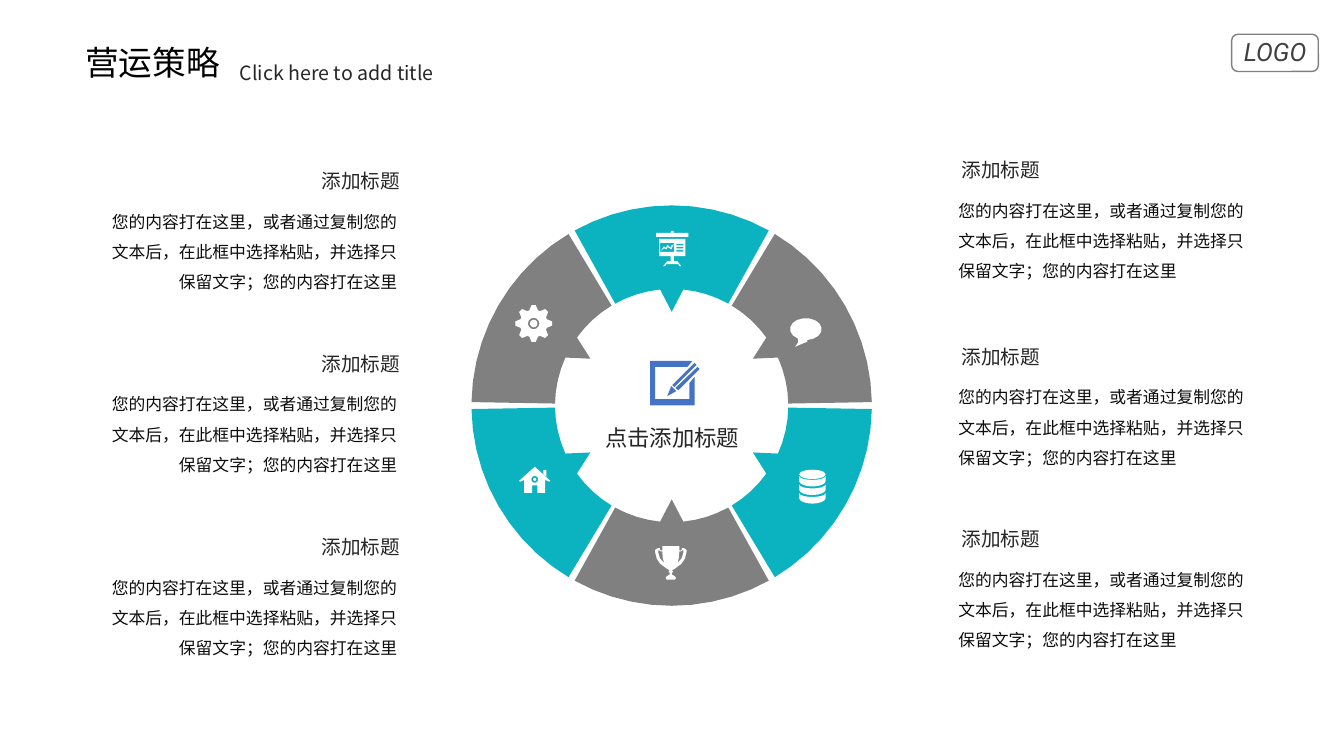
import math

from lxml import etree
from pptx import Presentation
from pptx import util as u
from pptx.dml.color import RGBColor
from pptx.enum import shapes, text
from pptx.oxml.ns import qn

COLORS = {"teal": "0BB3C1", "gray": "808080", "blue": "4472C4", "white": "FFFFFF",
          "black": "000000", "body": "0D0D0D", "heading": "262626", "badge": "404040"}
HEADING = "添加标题"
BODY = "您的内容打在这里，或者通过复制您的文本后，在此框中选择粘贴，并选择只保留文字；您的内容打在这里"
LEFT, CENTER, RIGHT = text.PP_ALIGN.LEFT, text.PP_ALIGN.CENTER, text.PP_ALIGN.RIGHT
RING = (479.8, 289.7)


def arc(center, radii, start, end):
    """Points on an ellipse; angles run clockwise in degrees from the top."""
    step = 6 if radii[0] > 50 else 22.5
    count = max(2, round(abs(end - start) / step))
    angles = [math.radians(start + (end - start) * i / count) for i in range(count + 1)]
    return [(center[0] + radii[0] * math.sin(a), center[1] - radii[1] * math.cos(a))
            for a in angles]


def polar(center, radius, angle):
    turn = math.radians(angle)
    return center[0] + radius * math.sin(turn), center[1] - radius * math.cos(turn)


def circle(center, radius):
    return [polar(center, radius, 30 * i) for i in range(12)]


def shift(points, origin):
    return [(origin[0] + x, origin[1] + y) for x, y in points]


def mirror(points):
    return [(-x, y) for x, y in reversed(points)]


def symmetric(half):
    """Outline whose right half is given, reflected about the vertical axis."""
    return half + mirror(half)


def rectangle(x, y, width, height):
    return [(x, y), (x + width, y), (x + width, y + height), (x, y + height)]


class SlideBuilder:
    def __init__(self, page, font="Noto Sans CJK SC"):
        self.page = page
        self.font = font

    def paint(self, shape, color):
        shape.shadow.inherit = False
        shape.fill.solid()
        shape.fill.fore_color.rgb = RGBColor.from_string(COLORS[color])
        shape.line.fill.background()

    def outline(self, color, origin, *contours):
        """One filled shape; a contour inside another cuts a hole."""
        contours = [[(u.Pt(x), u.Pt(y)) for x, y in shift(points, origin)]
                    for points in contours]
        builder = self.page.shapes.build_freeform(*contours[0][0], scale=1.0)
        builder.add_line_segments(contours[0][1:], close=True)
        for contour in contours[1:]:
            builder.move_to(*contour[0])
            builder.add_line_segments(contour[1:], close=True)
        self.paint(builder.convert_to_shape(), color)

    def ellipse(self, color, center, rx, ry):
        shape = self.page.shapes.add_shape(
            shapes.MSO_SHAPE.OVAL, u.Pt(center[0] - rx), u.Pt(center[1] - ry),
            u.Pt(2 * rx), u.Pt(2 * ry))
        self.paint(shape, color)

    def badge_frame(self, *place):
        frame = self.page.shapes.add_shape(
            shapes.MSO_SHAPE.ROUNDED_RECTANGLE, *map(u.Pt, place))
        frame.shadow.inherit = False
        frame.fill.background()
        frame.line.color.rgb = RGBColor.from_string(COLORS["gray"])
        frame.line.width = u.Pt(1)

    def label(self, place, words, size, color, align=LEFT, spacing=None,
              margins=(7.2, 3.6), font=None, italic=False):
        box = self.page.shapes.add_textbox(*map(u.Pt, place))
        frame = box.text_frame
        frame.word_wrap = True
        frame.auto_size = text.MSO_AUTO_SIZE.SHAPE_TO_FIT_TEXT
        frame.margin_left = frame.margin_right = u.Pt(margins[0])
        frame.margin_top = frame.margin_bottom = u.Pt(margins[1])
        frame.text = words
        para = frame.paragraphs[0]
        para.alignment = align
        para.line_spacing = spacing
        span = para.runs[0]
        span.font.size = u.Pt(size)
        span.font.italic = italic
        span.font.color.rgb = RGBColor.from_string(COLORS[color])
        span.font.name = font or self.font
        east_asian = etree.SubElement(span.font._element, qn("a:ea"))
        east_asian.set("typeface", font or self.font)

    def segment(self, color, angle):
        """One ring piece with a pointer towards the centre."""
        outer, inner, middle = (143, 143), (83.3, 83.3), (0, 0)
        self.outline(color, RING,
                     arc(middle, outer, angle - 29, angle + 29)
                     + arc(middle, inner, angle + 29, angle + 5.7)
                     + [polar(middle, 67, angle)]
                     + arc(middle, inner, angle - 5.7, angle - 29))

    def note(self, left, top, align):
        self.label((left + 4.3, top, 221.8, 21.6), HEADING, 14, "heading", align,
                   margins=(5, 2.2))
        self.label((left, top + 21.6, 226.1, 72.7), BODY, 12, "body", align, 1.5)

    def board_icon(self, origin):
        bar = [(0.9, 0), (0.9, 1.4), (11.5, 1.4), (11.5, 4.3)]
        stand = [(9.4, 5.8), (9.4, 18), (1.2, 18), (1.2, 21.6), (3.6, 21.6),
                 (6.5, 25.2), (5, 25.2), (4.3, 23.8)]
        trend = [(-1, 10.8), (-1, 12.2), (-3.6, 10), (-4.5, 12.2), (-6, 11.1), (-8, 14.2),
                 (-5.8, 12.4), (-4.3, 13.2), (-3.2, 11.6), (-0.7, 13.2), (1.2, 9.6)]
        holes = [rectangle(-8.6, 8.6, 10, 6.5)]
        holes += [rectangle(2.9, y, 5, 1.1) for y in (9.3, 11.5, 13.7)]
        self.outline("white", origin, symmetric(bar), symmetric(stand), *holes, trend)

    def bubble_icon(self, center):
        tail = [(1, 9), (-7.7, 12.6), (-5.5, 9.5)]
        self.outline("white", center, arc((0, 0), (11.3, 7.8), 210, 534) + tail)

    def database_icon(self, center):
        self.ellipse("white", center, 9.5, 3.3)
        bands = [arc((0, top), (9.5, 2.9), 90, 270) + arc((0, top + 3.6), (9.5, 4), 270, 90)
                 for top in (1.1, 7.2, 13.3)]
        self.outline("white", center, *bands)

    def trophy_icon(self, origin):
        cup = [(6.1, 0), (6.1, 2.9), (7.6, 2.9), (7.9, 1.4), (9.4, 1.4), (11.2, 2.6),
               (11.2, 4.3), (10, 9), (7.5, 12.6), (3.2, 15.8), (0.8, 17.3), (1.7, 18.4),
               (0.8, 18.9), (0.8, 20.2), (3, 21.6), (3.7, 22.6), (3, 23.8)]
        handle = [(6.1, 3.6), (7.6, 3.6), (8, 2.9), (8.9, 2.9), (9, 4.3), (7.8, 8.5),
                  (4.7, 12.2), (5.7, 8.5)]
        self.outline("white", origin, symmetric(cup), handle, mirror(handle))

    def house_icon(self, origin):
        walls = [(0, 0), (11.2, 10.1), (10.4, 10.7), (7.5, 9.4), (7.5, 18.7),
                 (1.8, 18.7), (1.8, 13.3)]
        chimney = [(8.3, 2.2), (8.3, 7), (6.1, 5), (6.1, 2.2)]
        self.outline("white", origin, symmetric(walls), circle((0, 9), 2.5), chimney)
        self.ellipse("white", (origin[0], origin[1] + 9), 1.1, 1.1)

    def gear_icon(self, center):
        tooth = ((-18, 9.9), (-6.5, 13.2), (6.5, 13.2), (18, 9.9))
        teeth = [polar((0, 0), radius, 45 * i + turn)
                 for i in range(8) for turn, radius in tooth]
        self.outline("white", center, teeth, circle((0, 0), 4.1))
        self.ellipse("white", center, 2.7, 2.7)

    def pencil_icon(self, origin):
        frame = [(28.1, 27.4), (3.6, 27.4), (3.6, 4.3), (26.6, 4.3), (30.2, 0), (0, 0),
                 (0, 31.7), (31.7, 31.7), (31.7, 11.5), (28.1, 15.8)]
        tip = [(18.7, 21.6), (15.1, 18), (12.2, 25.2)]
        strokes = ([(31.7, 1.4), (15.8, 17.3), (17.3, 18.7), (33.1, 2.9)],
                   [(18, 19.4), (20.2, 20.9), (35.3, 5.8), (33.8, 4.3)])
        self.outline("blue", origin, frame, tip, *strokes)


def main():
    deck = Presentation()
    deck.slide_width, deck.slide_height = u.Pt(960), u.Pt(540)
    slide = SlideBuilder(deck.slides.add_slide(deck.slide_layouts[6]))

    slide.badge_frame(879.8, 24.5, 61.9, 26.6)
    slide.label((873.4, 22.3, 74.9, 28.8), "LOGO", 18, "badge", CENTER,
                font="Roboto", italic=True)
    for i in range(6):
        slide.segment(("teal", "gray")[i % 2], 60 * i)
    slide.board_icon((480.2, 164.9))
    slide.bubble_icon((575.6, 235.1))
    slide.database_icon((580.3, 338.8))
    slide.trophy_icon((479.2, 390.2))
    slide.house_icon((382, 333.4))
    slide.gear_icon((381.2, 231.1))
    slide.pencil_icon((464.4, 257.8))
    slide.label((418.3, 301, 123.8, 24.5), "点击添加标题", 16, "heading", CENTER,
                margins=(5, 2.2))
    for left, align, tops in ((64.8, RIGHT, (118.8, 249.1, 380.2)),
                              (677.5, LEFT, (110.9, 244.1, 374.4))):
        for top in tops:
            slide.note(left, top, align)
    slide.label((15.1, 26.6, 149, 36), "营运策略", 24, "black", RIGHT)
    slide.label((164.2, 36.7, 193, 27.4), "Click here to add title", 14, "heading",
                spacing=1.2)
    deck.save("out.pptx")


if __name__ == "__main__":
    main()
